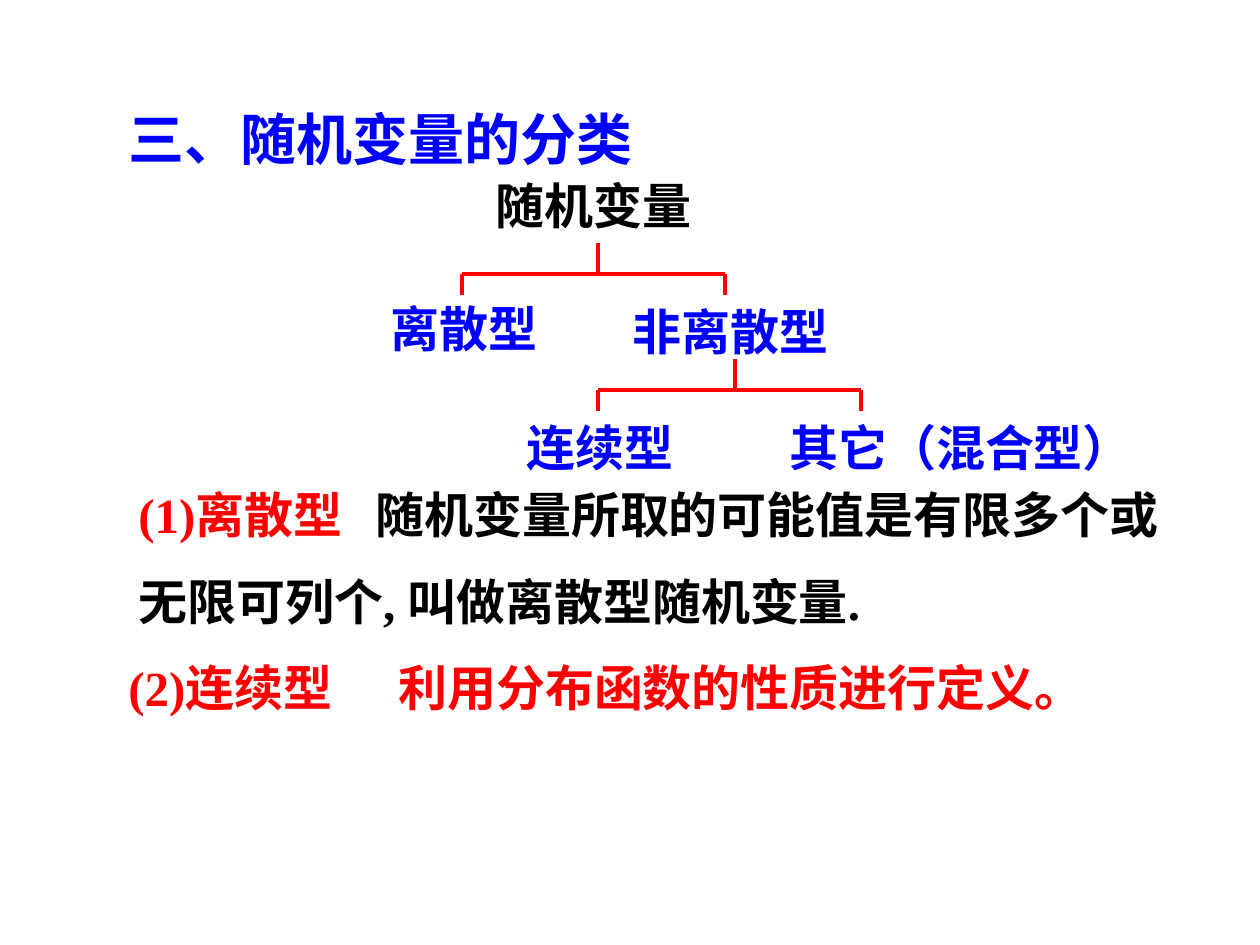
from dataclasses import dataclass

from lxml.etree import SubElement
from pptx import Presentation
from pptx.dml.color import RGBColor
from pptx.enum.shapes import MSO_CONNECTOR
from pptx.enum.text import MSO_AUTO_SIZE
from pptx.oxml.ns import qn
from pptx.util import Pt

PX = 914400 / 126


@dataclass(frozen=True)
class Theme:
    latin: str = "Times New Roman"
    cjk: str = "Noto Sans CJK SC"
    title: int = 32
    body: int = 28
    line: float = 2.25
    blue: str = "0000FF"
    red: str = "FF0000"
    black: str = "000000"


T = Theme()

# left, top, width, height, text, size, colour
LABELS = [
    (116, 98, 544, 81, "三、随机变量的分类", T.title, T.blue),
    (483, 169, 296, 72, "随机变量", T.body, T.black),
    (378, 292, 213, 72, "离散型", T.body, T.blue),
    (620, 295, 278, 72, "非离散型", T.body, T.blue),
    (514, 411, 185, 72, "连续型", T.body, T.blue),
    (777, 411, 462, 72, "其它（混合型）", T.body, T.blue),
]

# left branch x, right branch x, stem x, bar y
BRACKETS = [(462, 725, 598, 274), (598, 861, 735, 390)]
STEM, DROP = 31, 21

# box, line spacing, space before, tab stop, paragraphs of (text, colour) runs
DEFINITIONS = [
    ((126, 483, 1113, 155), 0.95, 17.5, 237, [
        [("(1)离散型", T.red), ("\t随机变量所取的可能值是有限多个或", T.black)],
        [("无限可列个, 叫做离散型随机变量.", T.black)],
    ]),
    ((116, 640, 1110, 83), 1.2, 3.5, 270, [
        [("(2)连续型\t利用分布函数的性质进行定义。", T.red)],
    ]),
]


def emu(*lengths):
    return [round(n * PX) for n in lengths]


def add_box(slide, box):
    tf = slide.shapes.add_textbox(*emu(*box)).text_frame
    tf.word_wrap = True
    tf.auto_size = MSO_AUTO_SIZE.SHAPE_TO_FIT_TEXT
    return tf


def add_run(p, text, size, color):
    r = p.add_run()
    r.text = text
    r.font.size = Pt(size)
    r.font.bold = True
    r.font.color.rgb = RGBColor.from_string(color)
    r.font.name = T.latin
    SubElement(r.font._element, qn("a:ea"), typeface=T.cjk)


def add_tab_stop(p, pos):
    tabs = SubElement(p._p.get_or_add_pPr(), qn("a:tabLst"))
    SubElement(tabs, qn("a:tab"), pos=str(emu(pos)[0]), algn="l")


def add_bracket(slide, left, right, stem, y):
    """Group a bar with a stem above it and a drop at each end."""
    group = slide.shapes.add_group_shape()
    for ends in [(left, y, right, y), (left, y, left, y + DROP),
                 (right, y, right, y + DROP), (stem, y, stem, y - STEM)]:
        line = group.shapes.add_connector(MSO_CONNECTOR.STRAIGHT, *emu(*ends))
        line.line.color.rgb = RGBColor.from_string(T.red)
        line.line.width = Pt(T.line)
        SubElement(line._element.spPr, qn("a:effectLst"))


def add_definition(slide, box, spacing, before, tab, paragraphs):
    tf = add_box(slide, box)
    for i, runs in enumerate(paragraphs):
        p = tf.add_paragraph() if i else tf.paragraphs[0]
        add_tab_stop(p, tab)
        p.line_spacing = spacing
        if i:
            p.space_before = Pt(before)
        for text, color in runs:
            add_run(p, text, T.body, color)


def main():
    prs = Presentation()
    prs.slide_width, prs.slide_height = emu(1260, 945)
    s = prs.slides.add_slide(prs.slide_layouts[6])
    for *box, text, size, color in LABELS:
        add_run(add_box(s, box).paragraphs[0], text, size, color)
    for bracket in BRACKETS:
        add_bracket(s, *bracket)
    for definition in DEFINITIONS:
        add_definition(s, *definition)
    prs.save("out.pptx")


if __name__ == "__main__":
    main()
